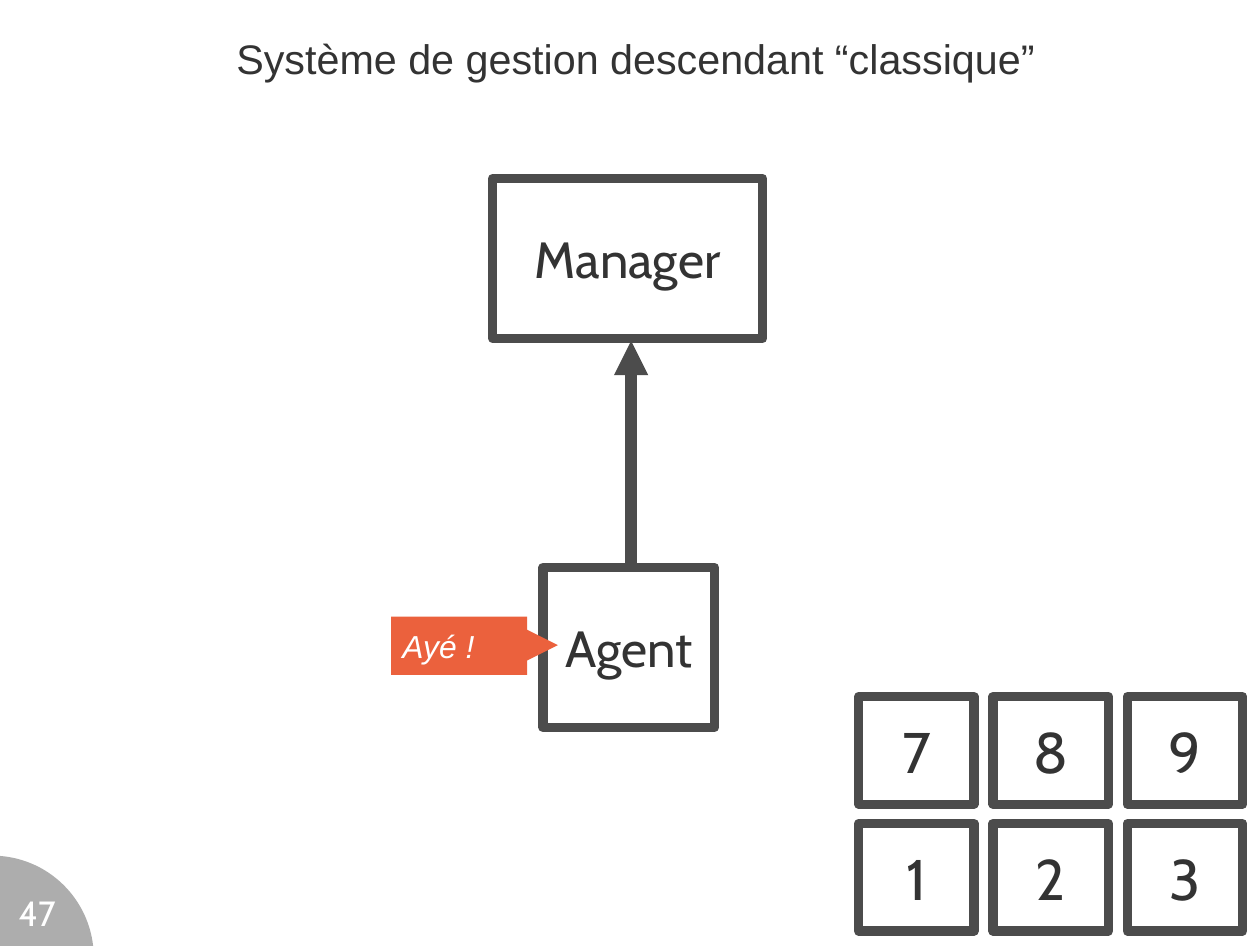
from lxml import etree
from pptx import Presentation, util as u
from pptx.dml.color import RGBColor
from pptx.enum import shapes, text
from pptx.oxml.ns import qn

Inches = u.Inches
INK, FRAME, ORANGE, WHITE = "333333", "4C4C4C", "EB613D", "FFFFFF"


def add_block(parent, kind, left, top, width, height, fill=None, line=None):
    """Add a preset shape without shadow; no fill or line unless a colour is given."""
    block = parent.add_shape(kind, Inches(left), Inches(top), Inches(width), Inches(height))
    block.shadow.inherit = False
    for paint, colour in ((block.fill, fill), (block.line.fill, line)):
        if colour:
            paint.solid()
            paint.fore_color.rgb = RGBColor.from_string(colour)
        else:
            paint.background()
    if line:
        block.line.width = u.Pt(5.75)
    return block


def write(box, words, size, font, colour, align=text.PP_ALIGN.CENTER,
          margins=(0, 0), anchor=text.MSO_ANCHOR.MIDDLE, wrap=False, italic=False):
    frame = box.text_frame
    frame.auto_size = text.MSO_AUTO_SIZE.NONE
    frame.word_wrap = wrap
    frame.vertical_anchor = anchor
    frame.margin_left = frame.margin_right = Inches(margins[0])
    frame.margin_top = frame.margin_bottom = Inches(margins[1])
    para = frame.paragraphs[0]
    para.alignment = align
    span = para.add_run()
    span.text = words
    span.font.size = u.Pt(size)
    span.font.name = font
    span.font.italic = italic
    span.font.color.rgb = RGBColor.from_string(colour)


deck = Presentation()
deck.slide_width, deck.slide_height = Inches(11.02), Inches(8.27)
page = deck.slides.add_slide(deck.slide_layouts[5])
RECT = shapes.MSO_SHAPE.RECTANGLE

# Title
title = page.shapes.title
title.left, title.top = Inches(0.33), Inches(0.02)
title.width, title.height = Inches(10.47), Inches(0.98)
write(title, "Système de gestion descendant “classique”", 26, "Arial", INK, wrap=True)

# Page number in its corner disc
disc = add_block(page.shapes, shapes.MSO_SHAPE.OVAL, -0.96, 7.48, 1.78, 1.78, fill=INK)
disc_colour = disc.fill._xPr.find(qn("a:solidFill"))[0]
etree.SubElement(disc_colour, qn("a:alpha"), val="40000")
number = page.shapes.add_textbox(Inches(0.09), Inches(7.79), Inches(0.47), Inches(0.39))
write(number, "47", 22, "Cabin", WHITE, anchor=text.MSO_ANCHOR.TOP, wrap=True)

# Framed boxes: the two roles, then the number grid
framed = [("Manager", 32, 4.31, 1.56, 2.36, 1.4), ("Agent", 32, 4.75, 4.96, 1.5, 1.4)]
for row, digits in enumerate(("789", "123")):
    for column, digit in enumerate(digits):
        framed.append((digit, 36, 7.51 + 1.175 * column, 6.09 + 1.11 * row, 1.01, 0.94))
for words, size, *place in framed:
    box = add_block(page.shapes, RECT, *place, line=FRAME)
    write(box, words, size, "Cabin", INK, margins=(0.14, 0.09))

# Arrow from agent up to manager
arrow = page.shapes.add_connector(shapes.MSO_CONNECTOR.STRAIGHT, Inches(5.52), Inches(2.98),
                                  Inches(5.52), Inches(4.98))
arrow.line.color.rgb = RGBColor.from_string(FRAME)
arrow.line.width = u.Pt(7.2)
etree.SubElement(arrow.line._get_or_add_ln(), qn("a:headEnd"), type="triangle")
etree.SubElement(arrow._element.spPr, qn("a:effectLst"))

# Speech tag pointing at the agent
tag = page.shapes.add_group_shape()
add_block(tag.shapes, shapes.MSO_SHAPE.DIAMOND, 4.28, 5.49, 0.6, 0.3, fill=ORANGE)
label = add_block(tag.shapes, RECT, 3.42, 5.39, 1.19, 0.51, fill=ORANGE)
write(label, "Ayé !", 20, "Arial", WHITE, align=text.PP_ALIGN.LEFT,
      margins=(0.1, 0.05), italic=True)

deck.save("out.pptx")
